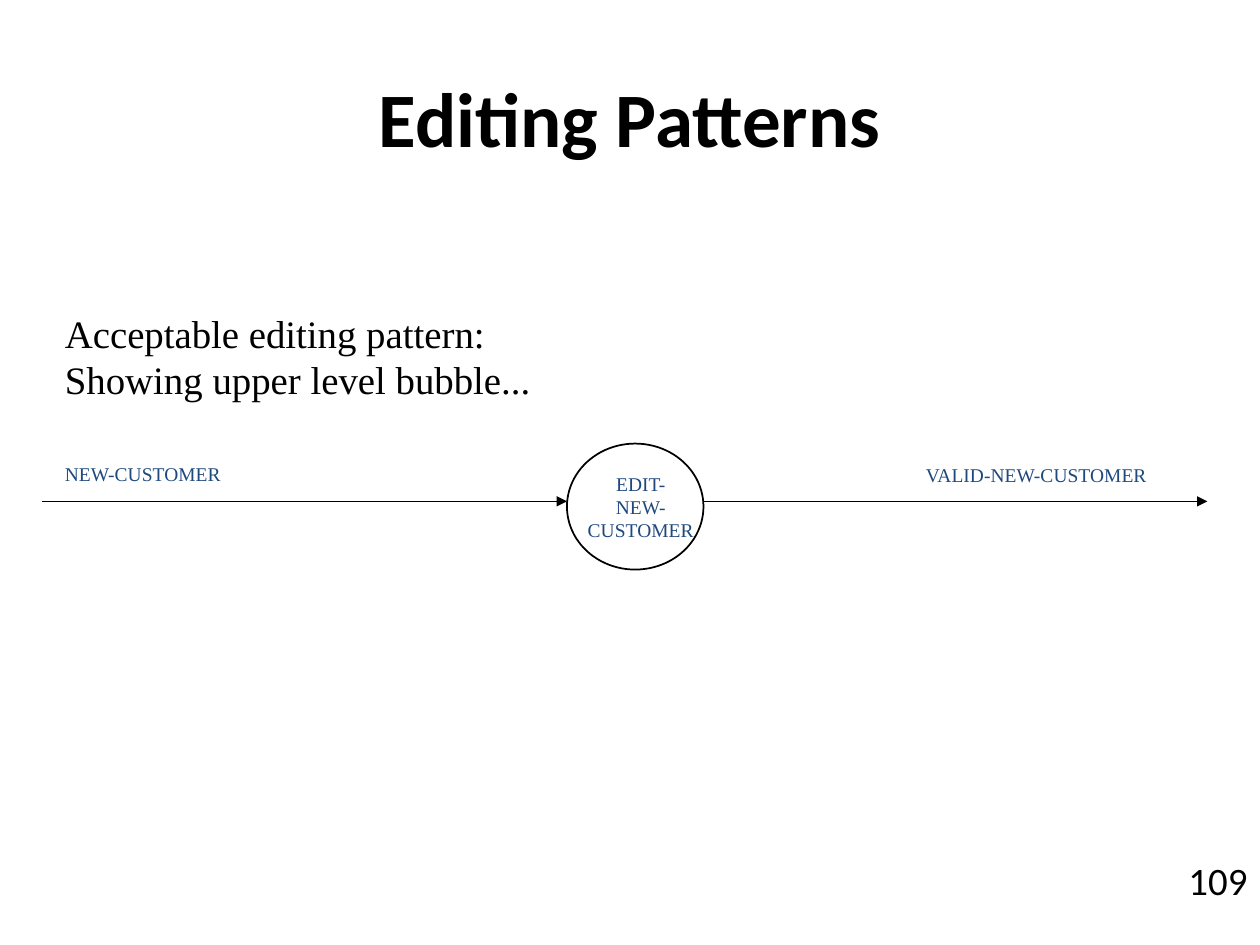
from lxml.etree import SubElement
from pptx import Presentation
from pptx.dml.color import RGBColor
from pptx.enum.shapes import MSO_CONNECTOR as Connector, MSO_SHAPE as Shape
from pptx.enum.text import MSO_ANCHOR as Anchor, PP_ALIGN as Align
from pptx.oxml.ns import qn
from pptx.util import Pt

BLACK, BLUE = "000000", "1F497D"
SERIF, SANS = "Times New Roman", "Calibri"
BODY_SIZE, LABEL_SIZE = 22.2, 11.1
BODY_INSETS = (7.2, 3.6, 7.2, 3.6)
LABEL_INSETS = (7.2, 3.6, 0.72, 3.6)


def color(hex_value):
    return RGBColor.from_string(hex_value)


class DiagramSlide:
    """Holds the line style and the current slide; lengths are in points."""

    line_color = BLACK
    line_width = 1

    def __init__(self, presentation):
        self.slide = presentation.slides.add_slide(presentation.slide_layouts[6])

    def fill_text(self, shape, lines, size, font=SERIF, hex_value=BLACK, bold=False,
                  align=Align.LEFT, anchor=Anchor.MIDDLE, insets=BODY_INSETS, wrap=True):
        frame = shape.text_frame
        frame.word_wrap = wrap
        frame.vertical_anchor = anchor
        (frame.margin_left, frame.margin_top,
         frame.margin_right, frame.margin_bottom) = map(Pt, insets)
        frame.text = "\n".join(lines)
        for paragraph in frame.paragraphs:
            paragraph.alignment = align
            paragraph.font.name = font
            paragraph.font.size = Pt(size)
            paragraph.font.bold = bold
            paragraph.font.color.rgb = color(hex_value)

    def text(self, box, lines, size, **style):
        shape = self.slide.shapes.add_textbox(*map(Pt, box))
        self.fill_text(shape, lines, size, **style)

    def label(self, box, name):
        self.text(box, [name], LABEL_SIZE, hex_value=BLUE, insets=LABEL_INSETS)

    def bubble(self, box, lines):
        shape = self.slide.shapes.add_shape(Shape.OVAL, *map(Pt, box))
        shape.shadow.inherit = False
        shape.fill.background()
        self.outline(shape)
        self.fill_text(shape, lines, LABEL_SIZE, hex_value=BLUE, align=Align.CENTER,
                       insets=LABEL_INSETS, wrap=False)

    def arrow(self, start, end, y):
        connector = self.slide.shapes.add_connector(
            Connector.STRAIGHT, Pt(start), Pt(y), Pt(end), Pt(y))
        self.outline(connector)
        properties = connector._element.spPr
        SubElement(properties.find(qn("a:ln")), qn("a:tailEnd"), type="triangle")
        SubElement(properties, qn("a:effectLst"))

    def outline(self, shape):
        shape.line.color.rgb = color(self.line_color)
        shape.line.width = Pt(self.line_width)


def main():
    presentation = Presentation()
    presentation.slide_width, presentation.slide_height = Pt(720), Pt(540)
    page = DiagramSlide(presentation)

    # Title and introduction
    page.text((36, 21.6, 648, 90), ["Editing Patterns"], 44,
              font=SANS, bold=True, align=Align.CENTER)
    page.text((30, 172.8, 283.7, 61.2),
              ["Acceptable editing pattern:", "Showing upper level bubble..."],
              BODY_SIZE, wrap=False)

    # Process bubble with its incoming and outgoing flows
    bubble_left, bubble_width, flow_y = 324, 78, 286.5
    page.bubble((bubble_left, 253.5, bubble_width, 72), ["EDIT-", "NEW-", "CUSTOMER"])
    page.arrow(24, bubble_left, flow_y)
    page.label((30, 260, 138, 21), "NEW-CUSTOMER")
    page.arrow(bubble_left + bubble_width, 690, flow_y)
    page.label((522, 261, 228, 21), "VALID-NEW-CUSTOMER")

    # Page number
    page.text((672, 486, 48, 34), ["109"], BODY_SIZE, font=SANS,
              align=Align.CENTER, anchor=Anchor.TOP)

    presentation.save("out.pptx")


if __name__ == "__main__":
    main()
